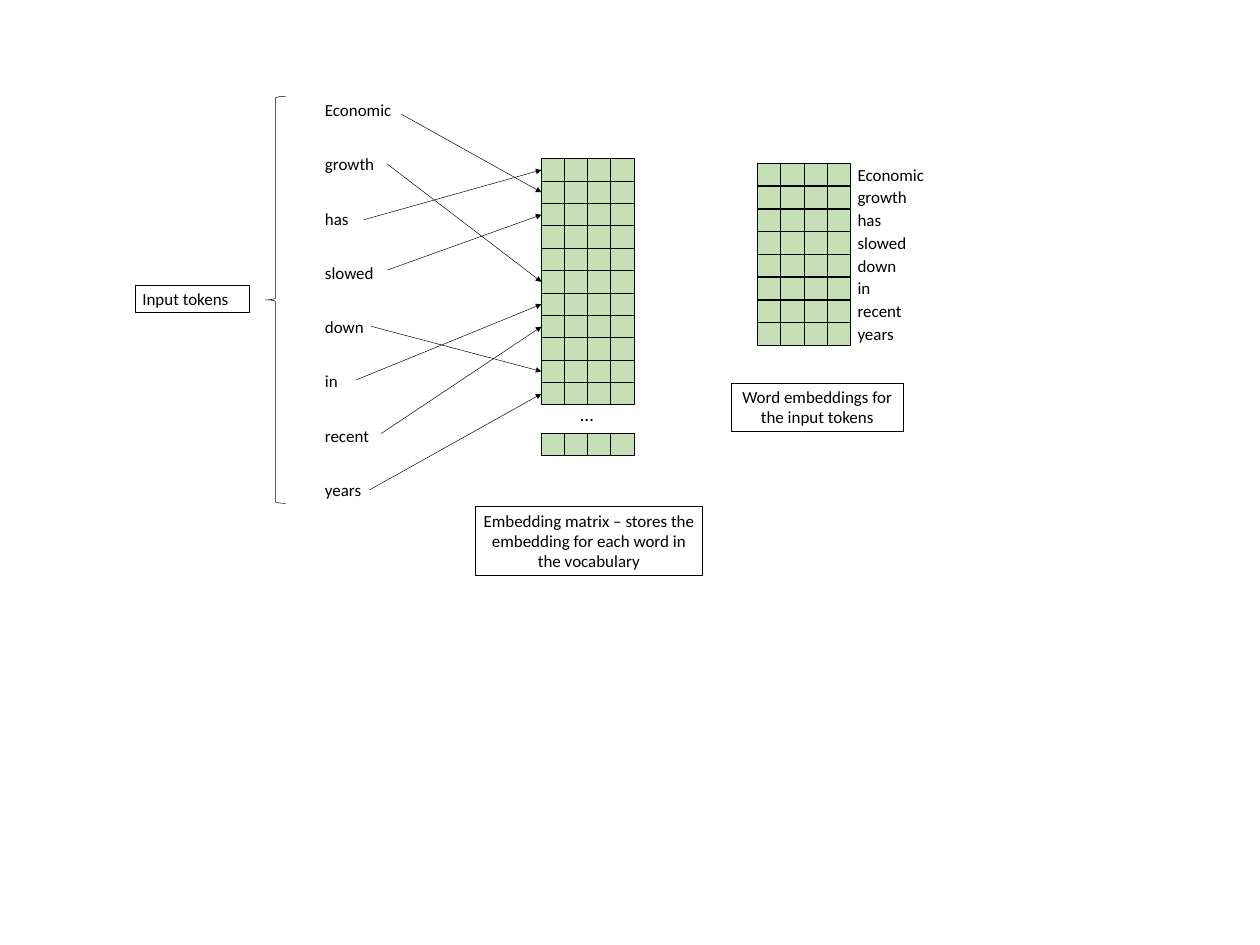
"""Build a slide that shows how input tokens look up their word embeddings."""
from lxml import etree
from pptx import Presentation
from pptx.dml.color import RGBColor
from pptx.enum.shapes import MSO_CONNECTOR, MSO_SHAPE
from pptx.enum.text import MSO_AUTO_SIZE, PP_ALIGN
from pptx.oxml.ns import qn
from pptx.util import Inches, Pt

RECTANGLE, BRACE = MSO_SHAPE.RECTANGLE, MSO_SHAPE.LEFT_BRACE
STRAIGHT = MSO_CONNECTOR.STRAIGHT
LEFT, CENTER = PP_ALIGN.LEFT, PP_ALIGN.CENTER
GROW = MSO_AUTO_SIZE.SHAPE_TO_FIT_TEXT
LEFT_SIDE = 1
BLANK_LAYOUT = 6

COLORS = {"ink": "000000", "cell": "C5E0B4"}
FONT = {"name": "Calibri", "size": Pt(18)}

TOKEN_LEFT, TOKEN_TOP, TOKEN_PITCH = 4.69, 1.42, 0.8
LABEL_WIDTH, LABEL_HEIGHT = 1.67, 0.4
CELL_WIDTH, CELL_HEIGHT = 0.35, 0.33
CELL_PITCH, CELLS_PER_ROW = 0.34, 4
MATRIX_LEFT, MATRIX_TOP, MATRIX_ROWS = 7.98, 2.34, 11
LAST_ROW_TOP = 6.39
RESULT_LEFT, RESULT_TOP, RESULT_PITCH = 11.17, 2.41, 2.35 / 7
RESULT_LABEL_LEFT, RESULT_LABEL_RISE = 12.54, 0.04

# token, start of its arrow, row of the matrix it looks up
LOOKUPS = [
    ("Economic", (5.91, 1.68), 1),
    ("growth", (5.71, 2.42), 5),
    ("has", (5.36, 3.24), 0),
    ("slowed", (5.71, 3.98), 2),
    ("down", (5.47, 4.81), 9),
    ("in", (5.25, 5.6), 6),
    ("recent", (5.62, 6.39), 7),
    ("years", (5.45, 7.22), 10),
]

CAPTIONS = [
    ("Input tokens", (2, 4.21, 1.67, 0.4), LEFT),
    ("Embedding matrix – stores the embedding for each word in the vocabulary",
     (7.01, 7.47, 3.34, 1.01), CENTER),
    ("Word embeddings for the input tokens", (10.78, 5.65, 2.53, 0.71), CENTER),
]


def color(name):
    """Return the named colour."""
    return RGBColor.from_string(COLORS[name])


def set_line(line, points):
    """Give a line the ink colour and a width in points."""
    line.color.rgb = color("ink")
    line.width = Pt(points)


def add_label(shapes, text, box, align=LEFT, **font_changes):
    """Add a text box and return it."""
    label = shapes.add_textbox(*map(Inches, box))
    frame = label.text_frame
    frame.word_wrap = True
    frame.auto_size = GROW
    paragraph = frame.paragraphs[0]
    paragraph.alignment = align
    run = paragraph.add_run()
    run.text = text
    for attribute, value in {**FONT, **font_changes}.items():
        setattr(run.font, attribute, value)
    run.font.color.rgb = color("ink")
    return label


def add_caption(shapes, text, box, align):
    """Add an outlined caption."""
    set_line(add_label(shapes, text, box, align).line, 0.75)


def add_brace(shapes, box):
    """Add the brace that gathers the input tokens."""
    brace = shapes.add_shape(BRACE, *map(Inches, box))
    brace.shadow.inherit = False
    brace.fill.background()
    set_line(brace.line, 0.5)


def add_vector(shapes, left, top):
    """Add one grouped row of cells and return the group."""
    vector = shapes.add_group_shape()
    for column in range(CELLS_PER_ROW):
        box = (left + column * CELL_PITCH, top, CELL_WIDTH, CELL_HEIGHT)
        cell = vector.shapes.add_shape(RECTANGLE, *map(Inches, box))
        cell.shadow.inherit = False
        cell.fill.solid()
        cell.fill.fore_color.rgb = color("cell")
        set_line(cell.line, 1)
    return vector


def add_lookup_arrow(shapes, start, first_cell):
    """Add an arrow from a token to the first cell of its matrix row."""
    begin = tuple(map(Inches, start))
    arrow = shapes.add_connector(STRAIGHT, *begin, *begin)
    arrow.end_connect(first_cell, LEFT_SIDE)
    set_line(arrow.line, 0.5)
    properties = arrow.element.spPr
    etree.SubElement(properties.find(qn("a:ln")), qn("a:tailEnd"), type="triangle")
    etree.SubElement(properties, qn("a:effectLst"))


def main():
    """Build and save the slide."""
    deck = Presentation()
    deck.slide_width, deck.slide_height = Inches(18.57), Inches(13.93)
    shapes = deck.slides.add_slide(deck.slide_layouts[BLANK_LAYOUT]).shapes

    add_brace(shapes, (3.91, 1.42, 0.3, 6))
    matrix = [add_vector(shapes, MATRIX_LEFT, MATRIX_TOP + row * CELL_HEIGHT)
              for row in range(MATRIX_ROWS)]
    add_label(shapes, "…", (8.31, 5.88, 0.68, 0.44), CENTER, size=Pt(20))
    add_vector(shapes, MATRIX_LEFT, LAST_ROW_TOP)

    for index, (token, arrow_start, matrix_row) in enumerate(LOOKUPS):
        token_top = TOKEN_TOP + index * TOKEN_PITCH
        add_label(shapes, token, (TOKEN_LEFT, token_top, LABEL_WIDTH, LABEL_HEIGHT))
        add_lookup_arrow(shapes, arrow_start, matrix[matrix_row].shapes[0])

        result_top = RESULT_TOP + index * RESULT_PITCH
        embedding = add_vector(shapes, RESULT_LEFT, result_top)
        add_label(embedding.shapes, token,
                  (RESULT_LABEL_LEFT, result_top - RESULT_LABEL_RISE,
                   LABEL_WIDTH, LABEL_HEIGHT))

    for text, box, align in CAPTIONS:
        add_caption(shapes, text, box, align)

    deck.save("out.pptx")


if __name__ == "__main__":
    main()
